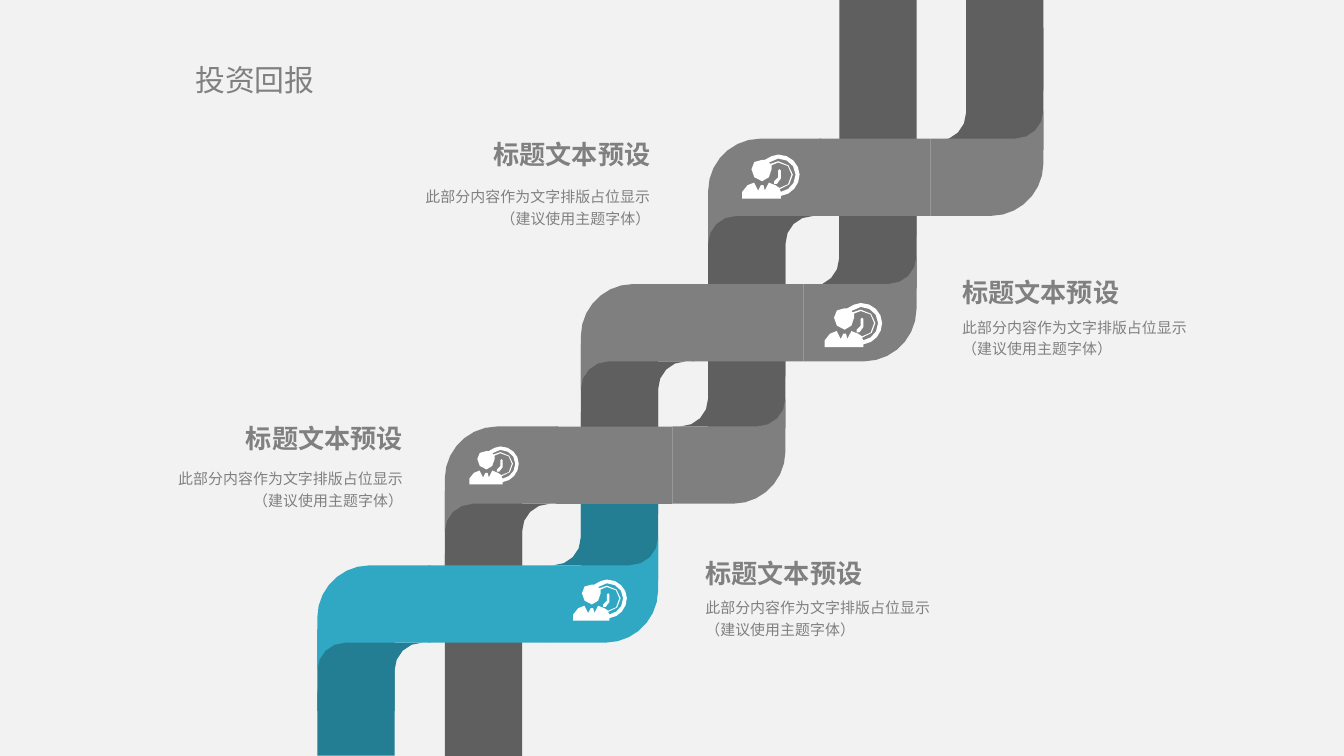
"""Build a slide of a folded ribbon staircase with four captioned steps."""
from copy import deepcopy
from math import dist
from typing import NamedTuple

from lxml.etree import SubElement
from pptx import Presentation
from pptx.dml.color import RGBColor
from pptx.enum.shapes import MSO_SHAPE
from pptx.enum.text import MSO_ANCHOR, MSO_AUTO_SIZE, PP_ALIGN
from pptx.oxml.ns import qn
from pptx.util import Pt

COLORS = {
    "background": "F2F2F2", "text": "808080", "icon": "FFFFFF",
    "gray": "7F7F7F", "gray_shade": "5F5F5F",
    "teal": "30A8C4", "teal_shade": "247E93",
}
FONT = "Noto Sans CJK SC"
FORMATS = {
    "title": {"size": Pt(16), "bold": False},
    "heading": {"size": Pt(14), "bold": True},
    "body": {"size": Pt(8), "bold": False},
}
COLUMNS = (170, 238.3, 311.2, 379.4, 449.6, 517.6)
BAND = 41.4
CORNER_WIDTH, CORNER_HEIGHT = 60.6, 56.3
CURVE_STEP = 6

CORNER = [[
    (28, 0), (CORNER_WIDTH, 0), (CORNER_WIDTH, BAND), (15, BAND),
    (6.7, BAND, 0, 48, 0, CORNER_HEIGHT), (0, 28), (0, 12.7, 12.7, 0, 28, 0),
]]
ICON_WIDTH = 42.5
ICON = [
    [(28, 11), (29, 12), (29, 18), (26, 22), (24, 22), (24, 20), (27, 17), (27, 12)],
    [(27, 3), (20, 6), (21, 7), (27, 5), (33, 5, 38, 10, 38, 15),
     (38, 21, 34, 25, 28, 26), (29, 28), (35, 27, 40, 22, 40, 15),
     (40, 8, 34, 3, 27, 3)],
    [(27, 0), (36, 0, 43, 7, 43, 15), (43, 23, 37, 30, 29, 31), (29, 33), (0, 33),
     (0, 28), (4, 23), (9, 21), (12, 27), (14, 23), (16, 23), (17, 27),
     (20, 21), (25, 23), (28, 25), (33, 25, 37, 21, 37, 15),
     (37, 10, 33, 6, 27, 6), (22, 8), (22, 11), (22, 15, 19, 20, 15, 20),
     (10, 20, 7, 15, 7, 11), (7, 6, 10, 4, 15, 4), (17, 4), (20, 2, 24, 0, 27, 0)],
]


class Post(NamedTuple):
    column: int
    top: float
    bottom: float
    color: str = "gray_shade"


class Step(NamedTuple):
    top: float
    elbow_bottom: float
    color: str
    icon_left: float
    icon_top: float
    icon_width: float


class Caption(NamedTuple):
    left: float
    heading_top: float
    body_top: float
    alignment: PP_ALIGN


POSTS = (
    Post(0, 337, 381, "teal_shade"), Post(1, 263, 405), Post(2, 184.3, 250),
    Post(2, 250, 311, "teal_shade"), Post(3, 114, 229.5), Post(4, 0, 154.5),
    Post(5, 0, 80.5),
)
STEPS = (
    Step(302.9, 302.9, "teal", 307.1, 310.5, 28.4),
    Step(228.5, 228.5, "gray", 251.4, 239.2, 26.2),
    Step(152.2, 153.4, "gray", 441.8, 162.3, 30.4),
    Step(74.3, 75.4, "gray", 397.6, 82.8, 30.4),
)
CAPTIONS = (
    Caption(509.8, 148.3, 162.7, PP_ALIGN.LEFT),
    Caption(372.2, 298.8, 313.2, PP_ALIGN.LEFT),
    Caption(208.8, 74.2, 92.9, PP_ALIGN.RIGHT),
    Caption(76.3, 226.1, 244.1, PP_ALIGN.RIGHT),
)


def paint(shape, color: str) -> None:
    shape.shadow.inherit = False
    shape.fill.solid()
    shape.fill.fore_color.rgb = RGBColor.from_string(COLORS[color])
    shape.line.fill.background()


def flatten(contour: list) -> list:
    """Turn two-value points and six-value Bezier segments into points."""
    points = [contour[0]]
    for segment in contour[1:]:
        if len(segment) == 2:
            points.append(segment)
            continue
        controls = [points[-1], segment[:2], segment[2:4], segment[4:]]
        steps = max(1, round(dist(controls[0], controls[3]) / CURVE_STEP))
        for step in range(1, steps + 1):
            t = step / steps
            weights = ((1 - t) ** 3, 3 * t * (1 - t) ** 2, 3 * t * t * (1 - t), t ** 3)
            points.append(tuple(
                sum(weight * control[axis] for weight, control in zip(weights, controls))
                for axis in (0, 1)))
    return points


def draw_outline(slide, contours: list, color: str, place) -> None:
    builder = None
    for contour in contours:
        points = [tuple(Pt(value) for value in place(x, y)) for x, y in flatten(contour)]
        if builder is None:
            builder = slide.shapes.build_freeform(*points[0], scale=1.0)
        else:
            builder.move_to(*points[0])
        builder.add_line_segments(points[1:], close=True)
    paint(builder.convert_to_shape(), color)


def draw_rectangle(slide, left: float, top: float, width: float, height: float,
                   color: str) -> None:
    shape = slide.shapes.add_shape(
        MSO_SHAPE.RECTANGLE, Pt(left), Pt(top), Pt(width), Pt(height))
    paint(shape, color)


def draw_elbows(slide, step: Step, left: float, right: float) -> None:
    shade = f"{step.color}_shade"
    draw_outline(slide, CORNER, shade, lambda x, y: (left + y, step.top + BAND + x))
    draw_outline(slide, CORNER, shade, lambda x, y: (right - y, step.elbow_bottom - x))


def draw_band(slide, step: Step, left: float, right: float) -> None:
    bottom = step.top + BAND
    draw_outline(slide, CORNER, step.color, lambda x, y: (left + x, step.top + y))
    draw_outline(slide, CORNER, step.color, lambda x, y: (right - x, bottom - y))
    draw_rectangle(slide, left + CORNER_WIDTH - 1, step.top,
                   right - left - 2 * CORNER_WIDTH + 1, BAND, step.color)


def draw_icon(slide, step: Step) -> None:
    scale = step.icon_width / ICON_WIDTH
    draw_outline(slide, ICON, "icon", lambda x, y: (
        step.icon_left + x * scale, step.icon_top + y * scale))


def write(shape, text: str, style: str, frame_format: dict, paragraph_format: dict) -> None:
    frame = shape.text_frame
    for name, value in frame_format.items():
        setattr(frame, name, value)
    paragraph = frame.paragraphs[0]
    paragraph.text = text
    for name, value in paragraph_format.items():
        setattr(paragraph, name, value)
    for run in paragraph.runs:
        for name, value in FORMATS[style].items():
            setattr(run.font, name, value)
        run.font.name = FONT
        run.font.color.rgb = RGBColor.from_string(COLORS["text"])
        properties = run._r.get_or_add_rPr()
        SubElement(properties, qn("a:ea")).set("typeface", FONT)
    for line_break in paragraph._p.findall(qn("a:br")):
        line_break.append(deepcopy(properties))


def draw_caption(slide, caption: Caption) -> None:
    margins = {"margin_left": Pt(5.67), "margin_right": Pt(5.67),
               "margin_top": 0, "margin_bottom": 0}
    body = slide.shapes.add_textbox(
        Pt(caption.left), Pt(caption.body_top), Pt(145.4), Pt(34.6))
    write(body, "此部分内容作为文字排版占位显示\v（建议使用主题字体）", "body",
          {**margins, "word_wrap": True, "vertical_anchor": MSO_ANCHOR.MIDDLE},
          {"alignment": caption.alignment, "line_spacing": 1.2})
    heading = slide.shapes.add_textbox(
        Pt(caption.left), Pt(caption.heading_top), Pt(145.4), Pt(14.4))
    write(heading, "标题文本预设", "heading", {**margins, "word_wrap": False},
          {"alignment": caption.alignment})


def draw_title(slide) -> None:
    title = slide.shapes.title
    title.left, title.top, title.width, title.height = Pt(99.4), Pt(30.2), Pt(141), Pt(24.5)
    write(title, "投资回报", "title",
          {"margin_left": Pt(5.2), "margin_right": Pt(5.2), "margin_top": Pt(2.6),
           "margin_bottom": Pt(2.6), "word_wrap": True,
           "vertical_anchor": MSO_ANCHOR.TOP, "auto_size": MSO_AUTO_SIZE.SHAPE_TO_FIT_TEXT},
          {"alignment": PP_ALIGN.LEFT})


def main() -> None:
    presentation = Presentation()
    presentation.slide_width, presentation.slide_height = Pt(720), Pt(405)
    slide = presentation.slides.add_slide(presentation.slide_layouts[5])
    slide.background.fill.solid()
    slide.background.fill.fore_color.rgb = RGBColor.from_string(COLORS["background"])
    draw_title(slide)
    for caption in CAPTIONS:
        draw_caption(slide, caption)
    for post in POSTS:
        draw_rectangle(slide, COLUMNS[post.column], post.top, BAND,
                       post.bottom - post.top, post.color)
    for draw in (draw_elbows, draw_band):
        for index, step in enumerate(STEPS):
            draw(slide, step, COLUMNS[index], COLUMNS[index + 2] + BAND)
    for step in STEPS:
        draw_icon(slide, step)
    presentation.save("out.pptx")


if __name__ == "__main__":
    main()
